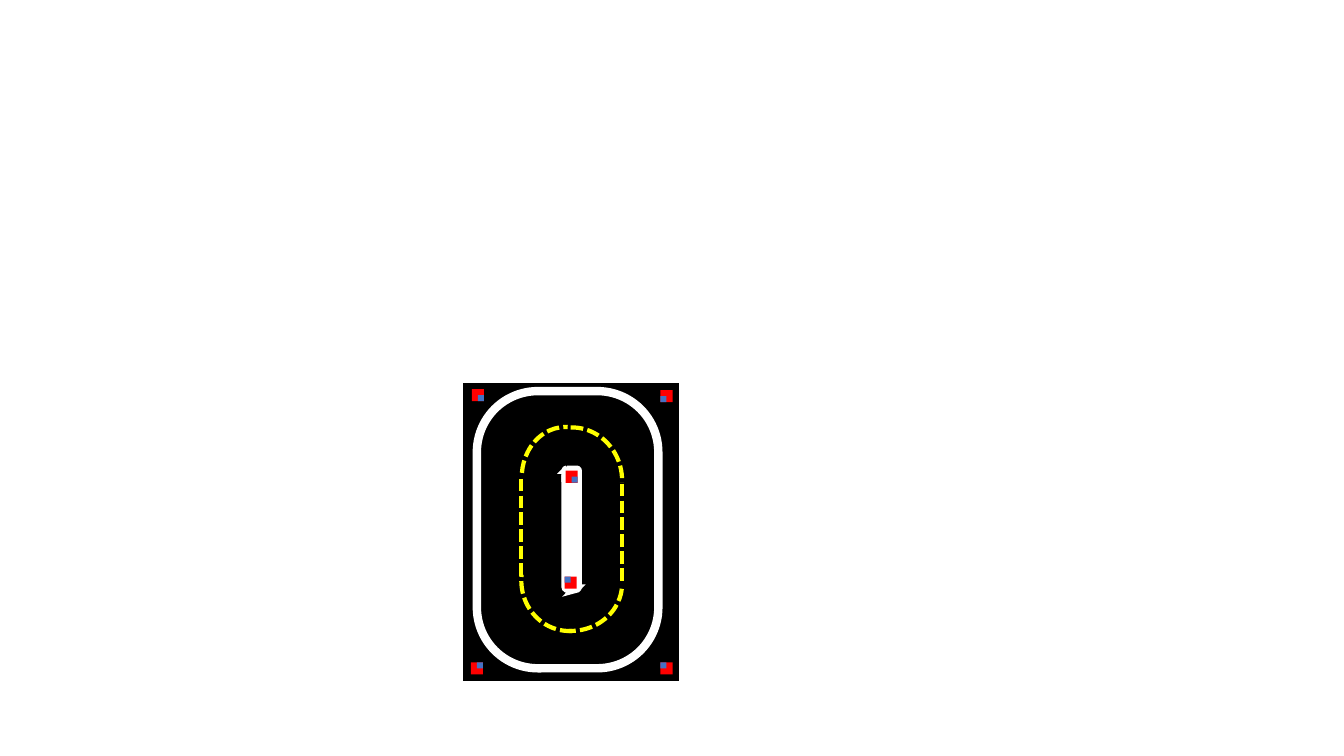
from lxml import etree
from pptx import Presentation
from pptx.dml.color import RGBColor
from pptx.enum.dml import MSO_LINE
from pptx.enum.shapes import MSO_CONNECTOR, MSO_SHAPE as SHAPE
from pptx.oxml.ns import qn
from pptx.util import Pt

PX = 9144  # EMU, 100 px to the inch
BLACK = RGBColor(0x00, 0x00, 0x00)
WHITE = RGBColor(0xFF, 0xFF, 0xFF)
YELLOW = RGBColor(0xFF, 0xFF, 0x00)
RED = RGBColor(0xFF, 0x00, 0x00)
BLUE = RGBColor(0x44, 0x72, 0xC4)


def add_part(shapes, kind, box, fill=None, edge=None, weight=0, rotation=0):
    part = shapes.add_shape(kind, *(v * PX for v in box))
    part.shadow.inherit = False
    part.rotation = rotation
    if fill is None:
        part.fill.background()
    else:
        part.fill.solid()
        part.fill.fore_color.rgb = fill
    if edge is None:
        part.line.fill.background()
    else:
        part.line.color.rgb = edge
        part.line.width = Pt(weight)
        miter = etree.SubElement(part.line._get_or_add_ln(), qn("a:miter"))
        miter.set("lim", "800000")
    return part


prs = Presentation()
prs.slide_width, prs.slide_height = 1333 * PX, 750 * PX
shapes = prs.slides.add_slide(prs.slide_layouts[6]).shapes

# Ground, outer kerb and central island
add_part(shapes, SHAPE.RECTANGLE, (460, 381, 213, 294), BLACK, BLACK, 1)
kerb = add_part(shapes, SHAPE.ROUNDED_RECTANGLE, (473, 388, 180, 275), BLACK, WHITE, 6)
kerb.adjustments[0] = 0.336
for box, rotation in [((561, 466, 12, 8), 0), ((561, 475, 12, 109), 180)]:
    add_part(shapes, SHAPE.ROUND_2_SAME_RECTANGLE, box, WHITE, WHITE, 6, rotation)

# Dashed centre line: bends as box, rotation, start and end; straights as x, top, bottom
upper_bends = [
    ((511, 430, 100, 87), 270, 165.507, 1.432),
    ((517, 424, 100, 105), 0, 161.391, 1.432),
]
lower_bends = [
    ((519, 528, 94, 102), 90, 165.507, 1.432),
    ((517, 526, 95, 100), 180, 159.737, 4.272),
]
straights = [(517, 475, 575), (617, 480, 580)]
for lane_straights, bends in [([], upper_bends), (straights, lower_bends)]:
    lane = shapes.add_group_shape().shapes
    for x, top, bottom in lane_straights:
        straight = lane.add_connector(
            MSO_CONNECTOR.STRAIGHT, x * PX, top * PX, x * PX, bottom * PX)
        straight.line.color.rgb = YELLOW
        straight.line.width = Pt(3)
        straight.line.dash_style = MSO_LINE.SQUARE_DOT
        etree.SubElement(straight._element.spPr, qn("a:effectLst"))
    for box, rotation, start, end in bends:
        bend = add_part(lane, SHAPE.ARC, box, None, YELLOW, 3, rotation)
        bend.adjustments[0], bend.adjustments[1] = start, end
        bend.line.dash_style = MSO_LINE.SQUARE_DOT

# Markers: the rotation decides which corner of the red square is blue
MARKER, CORNER = 12, 6
blue_offset = {0: (6, 6), 90: (0, 6), 180: (0, 0), 270: (6, 0)}
markers = [
    (561, 467, 0), (468, 386, 0), (467, 657, 270),
    (560, 572, 180), (655, 657, 180), (655, 387, 90),
]
for x, y, rotation in markers:
    marker = shapes.add_group_shape().shapes
    dx, dy = blue_offset[rotation]
    add_part(marker, SHAPE.RECTANGLE, (x, y, MARKER, MARKER), RED, rotation=rotation)
    add_part(marker, SHAPE.RECTANGLE, (x + dx, y + dy, CORNER, CORNER), BLUE, rotation=rotation)

prs.save("out.pptx")
